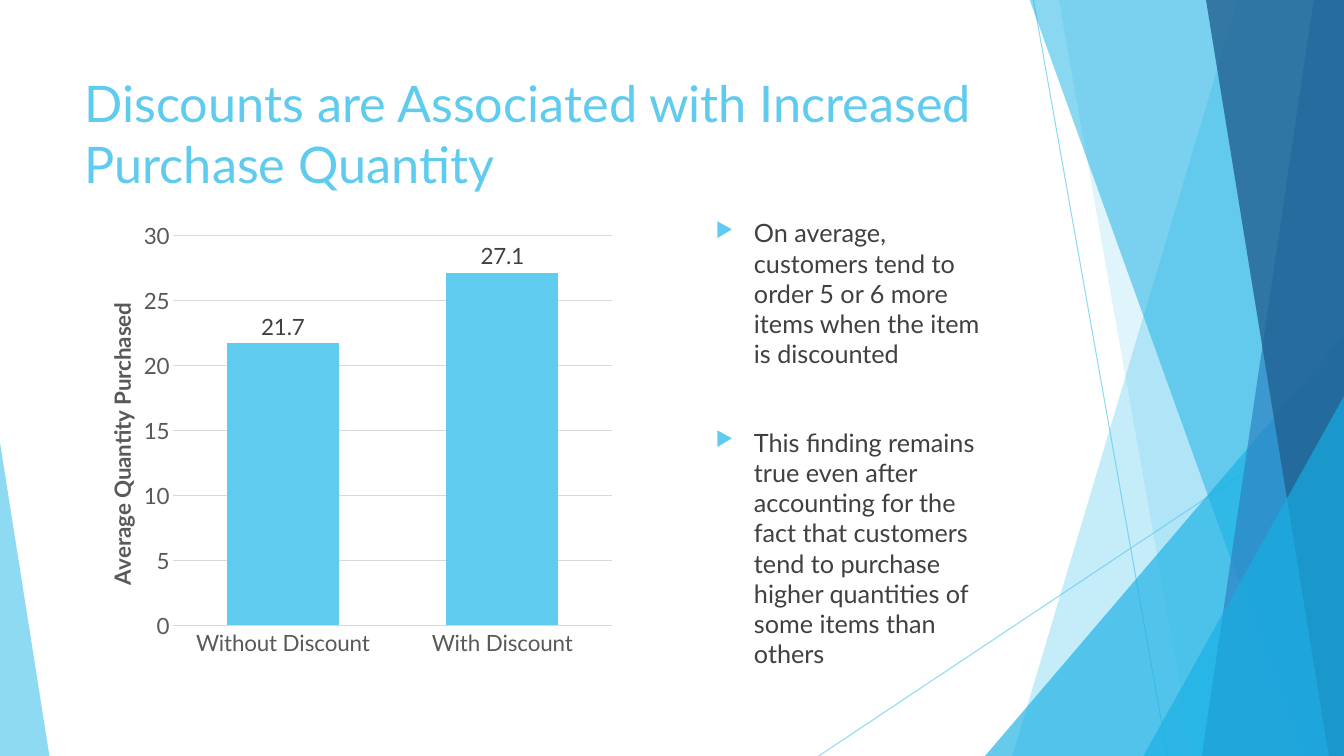
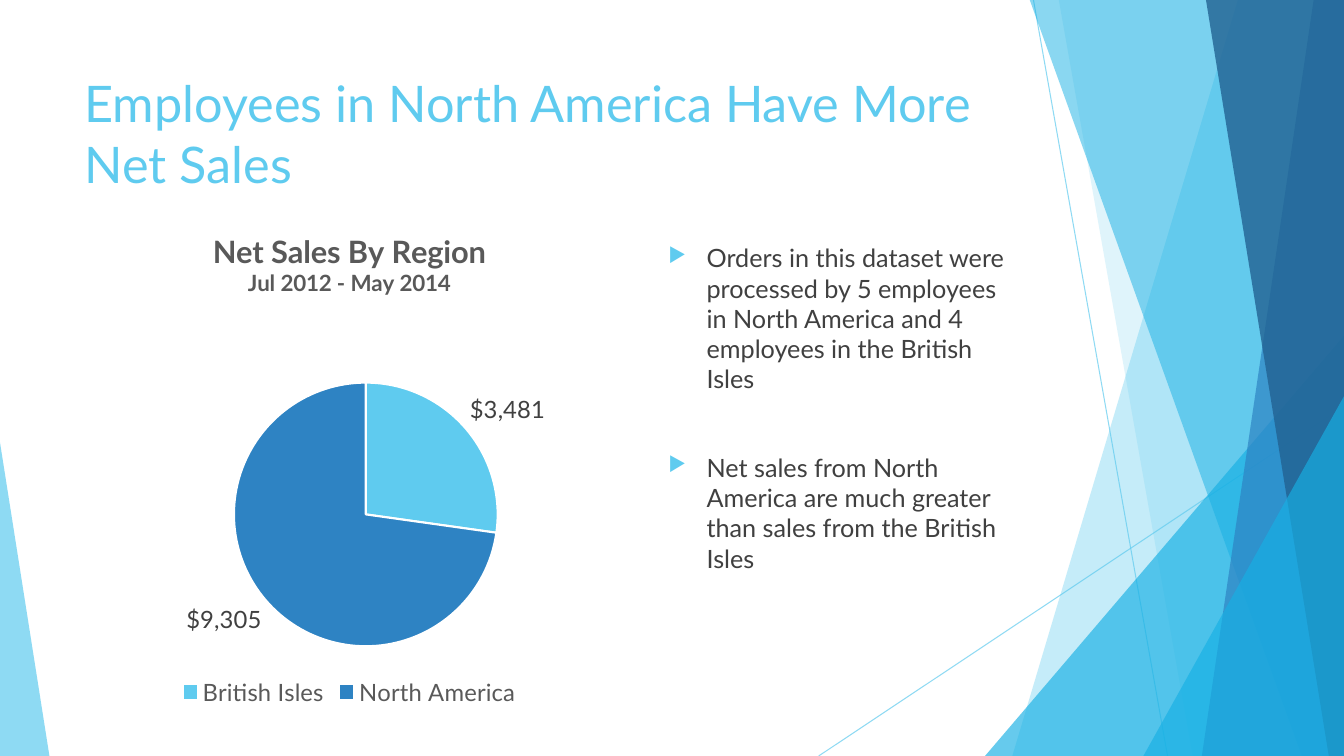
from pptx import Presentation
from pptx.chart.data import CategoryChartData
from pptx.dml.color import RGBColor
from pptx.enum.chart import XL_CHART_TYPE, XL_LABEL_POSITION, XL_LEGEND_POSITION, XL_TICK_MARK
from pptx.enum.shapes import MSO_CONNECTOR, MSO_SHAPE
from pptx.oxml.ns import qn
from pptx.util import Inches, Pt
from lxml.etree import SubElement

SKY = RGBColor(0x5F, 0xCB, 0xEF)
CYAN = RGBColor(0x17, 0xB0, 0xE4)
BLUE = RGBColor(0x2E, 0x83, 0xC3)
NAVY = RGBColor(0x22, 0x62, 0x92)
TEXT = RGBColor(0x40, 0x40, 0x40)
MUTED = RGBColor(0x59, 0x59, 0x59)
GRID = RGBColor(0xD9, 0xD9, 0xD9)
WHITE = RGBColor(0xFF, 0xFF, 0xFF)
FONT = "Lato"
WIDTH, HEIGHT, TOP = 13.33, 7.5, -0.01

DISCOUNT = {
    "title": "Discounts are Associated with Increased Purchase Quantity",
    "bullets": [
        "On average, customers tend to order 5 or 6 more items when the item is discounted",
        "This finding remains true even after accounting for the fact that customers tend to "
        "purchase higher quantities of some items than others",
    ],
    "bullet_box": (7, 2.11, 2.96, 4.5),
    "chart_box": (0.74, 2.11, 5.44, 4.5),
    "type": XL_CHART_TYPE.COLUMN_CLUSTERED,
    "values": {"Without Discount": 21.7, "With Discount": 27.1},
    "format": "#,##0.0",
    "size": 16,
    "plot": (0.18, 0.05, 0.8, 0.86),
}
REGION = {
    "title": "Employees in North America Have More Net Sales",
    "bullets": [
        "Orders in this dataset were processed by 5 employees in North America and 4 employees "
        "in the British Isles",
        "Net sales from North America are much greater than sales from the British Isles",
    ],
    "bullet_box": (6.53, 2.36, 3.61, 4.24),
    "chart_box": (0.74, 2.11, 5.45, 4.95),
    "type": XL_CHART_TYPE.PIE,
    "values": {"British Isles": 3481, "North America": 9305},
    "format": '"$"#,##0',
    "size": 17,
    "plot": (0.29, 0.34, 0.48, 0.53),
}
AXIS_TITLE = "Average Quantity Purchased"
PIE_TITLE = [("Net Sales By Region", 22), ("Jul 2012 - May 2014", 16)]

RAYS = [(10.25, 0, 11.58, HEIGHT), (WIDTH, 4.03, 8.12, HEIGHT)]
BAND, TRIANGLE = "band", "triangle"
FACETS = [
    (BAND, (12.28, 10.04), SKY, 36),
    (BAND, (10.5, 11.83), SKY, 20),
    (TRIANGLE, (9.77, 3.33, WIDTH, 1), CYAN, 66),
    (BAND, (10.21, 12.91), CYAN, 50),
    (BAND, (13.03, 11.92), BLUE, 70),
    (BAND, (11.96, 13.18), NAVY, 80),
    (TRIANGLE, (11.34, 3.93, WIDTH, 1), CYAN, 66),
    (TRIANGLE, (0, 4.39, 0.49, 0), SKY, 70),
]


def inches(values):
    return [Inches(value) for value in values]


def style(font, size, color):
    font.name, font.size, font.color.rgb = FONT, Pt(size), color


def set_opacity(shape, percent):
    for color in shape.element.spPr.iter(qn("a:srgbClr")):
        SubElement(color, qn("a:alpha"), val=str(percent * 1000))


def add_ray(page, ends):
    ray = page.shapes.add_connector(MSO_CONNECTOR.STRAIGHT, *inches(ends))
    ray.line.color.rgb, ray.line.width = SKY, Pt(0.75)
    set_opacity(ray, 70)
    SubElement(ray.element.spPr, qn("a:effectLst"))


def add_band(page, upper, lower):
    builder = page.shapes.build_freeform(Inches(upper), Inches(TOP))
    corners = [(WIDTH, TOP), (WIDTH, HEIGHT), (lower, HEIGHT)]
    builder.add_line_segments([inches(corner) for corner in corners], close=True)
    return builder.convert_to_shape()


def add_triangle(page, left, top, right, apex):
    box = inches((left, top, right - left, HEIGHT - top))
    triangle = page.shapes.add_shape(MSO_SHAPE.ISOSCELES_TRIANGLE, *box)
    triangle.adjustments[0] = apex
    return triangle


def add_backdrop(page):
    for ends in RAYS:
        add_ray(page, ends)
    for kind, geometry, color, percent in FACETS:
        facet = (add_band if kind == BAND else add_triangle)(page, *geometry)
        facet.shadow.inherit = False
        facet.fill.solid()
        facet.fill.fore_color.rgb = color
        set_opacity(facet, percent)
        facet.line.fill.background()


def add_text(page, box, lines, size, color):
    frame = page.shapes.add_textbox(*inches(box)).text_frame
    frame.word_wrap = True
    frame.text = "\n".join(lines)
    for para in frame.paragraphs:
        style(para.font, size, color)
    return frame.paragraphs


def add_bullets(page, box, lines):
    paras = add_text(page, box, lines, 18, TEXT)
    for para in paras[1:]:
        para.space_before = Pt(41.5)
    for para in paras:
        props = para._p.get_or_add_pPr()
        props.set("marL", str(Inches(0.38)))
        props.set("indent", str(-Inches(0.38)))
        marks = [SubElement(props, qn("a:buClr")), SubElement(props, qn("a:buSzPct"), val="80000"),
                 SubElement(props, qn("a:buChar"), char="▶")]
        SubElement(marks[0], qn("a:srgbClr"), val=str(SKY))
        for mark in reversed(marks):
            props.remove(mark)
            first_font = props.find(qn("a:defRPr"))
            spot = len(props) if first_font is None else props.index(first_font)
            previous = [child for child in props if child in marks]
            props.insert(props.index(previous[0]) if previous else spot, mark)


def set_layout(element, position, places, inner=False):
    for old in element.findall(qn("c:layout")):
        element.remove(old)
    layout = SubElement(element, qn("c:layout"))
    manual = SubElement(layout, qn("c:manualLayout"))
    if inner:
        SubElement(manual, qn("c:layoutTarget"), val="inner")
    for name in ("xMode", "yMode"):
        SubElement(manual, qn("c:" + name), val="edge")
    for name, place in zip("xywh", places):
        SubElement(manual, qn("c:" + name), val=str(place))
    element.insert(position, layout)


def add_chart(page, content):
    data = CategoryChartData()
    data.categories = list(content["values"])
    data.add_series("Series 1", list(content["values"].values()))
    box = inches(content["chart_box"])
    chart = page.shapes.add_chart(content["type"], *box, data).chart
    style(chart.font, content["size"], MUTED)
    chart.has_title = chart.has_legend = False
    set_layout(chart.element.find(".//" + qn("c:plotArea")), 0, content["plot"], inner=True)
    plot = chart.plots[0]
    plot.has_data_labels = True
    labels = plot.data_labels
    labels.show_value = True
    labels.number_format, labels.number_format_is_linked = content["format"], False
    labels.position = XL_LABEL_POSITION.OUTSIDE_END
    style(labels.font, content["size"], TEXT)
    return chart


def finish_columns(chart):
    plot = chart.plots[0]
    plot.vary_by_categories = False
    plot.gap_width, plot.overlap = 96, -27
    fill = plot.series[0].format.fill
    fill.solid()
    fill.fore_color.rgb = SKY
    category, value = chart.category_axis, chart.value_axis
    for axis in (category, value):
        axis.major_tick_mark = axis.minor_tick_mark = XL_TICK_MARK.NONE
        style(axis.tick_labels.font, 16, MUTED)
    value.minimum_scale, value.maximum_scale, value.major_unit = 0, 30, 5
    for line in (category.format.line, value.major_gridlines.format.line):
        line.color.rgb, line.width = GRID, Pt(0.75)
    value.format.line.fill.background()
    title = value.axis_title
    title.text_frame.text = AXIS_TITLE
    style(title.text_frame.paragraphs[0].font, 16, MUTED)
    for body in title.element.iter(qn("a:bodyPr")):
        body.set("rot", "-5400000")
        body.set("vert", "horz")
    set_layout(title.element, 1, (0.05, 0.19))


def finish_pie(chart):
    for index, color in enumerate((SKY, BLUE)):
        wedge = chart.plots[0].series[0].points[index].format
        wedge.fill.solid()
        wedge.fill.fore_color.rgb = color
        wedge.line.color.rgb, wedge.line.width = WHITE, Pt(1.5)
    chart.has_title = chart.has_legend = True
    frame = chart.chart_title.text_frame
    frame.text = "\n".join(line for line, size in PIE_TITLE)
    for para, (line, size) in zip(frame.paragraphs, PIE_TITLE):
        style(para.font, size, MUTED)
        style(para.runs[0].font, size, MUTED)
    chart.legend.position = XL_LEGEND_POSITION.BOTTOM
    chart.legend.include_in_layout = False
    style(chart.legend.font, 17, MUTED)


deck = Presentation()
deck.slide_width, deck.slide_height = inches((WIDTH, HEIGHT))
for content, finish in ((DISCOUNT, finish_columns), (REGION, finish_pie)):
    page = deck.slides.add_slide(deck.slide_layouts[6])
    add_backdrop(page)
    add_text(page, (0.74, 0.67, 9.4, 1.44), [content["title"]], 36, SKY)
    add_bullets(page, content["bullet_box"], content["bullets"])
    finish(add_chart(page, content))
deck.save("out.pptx")
